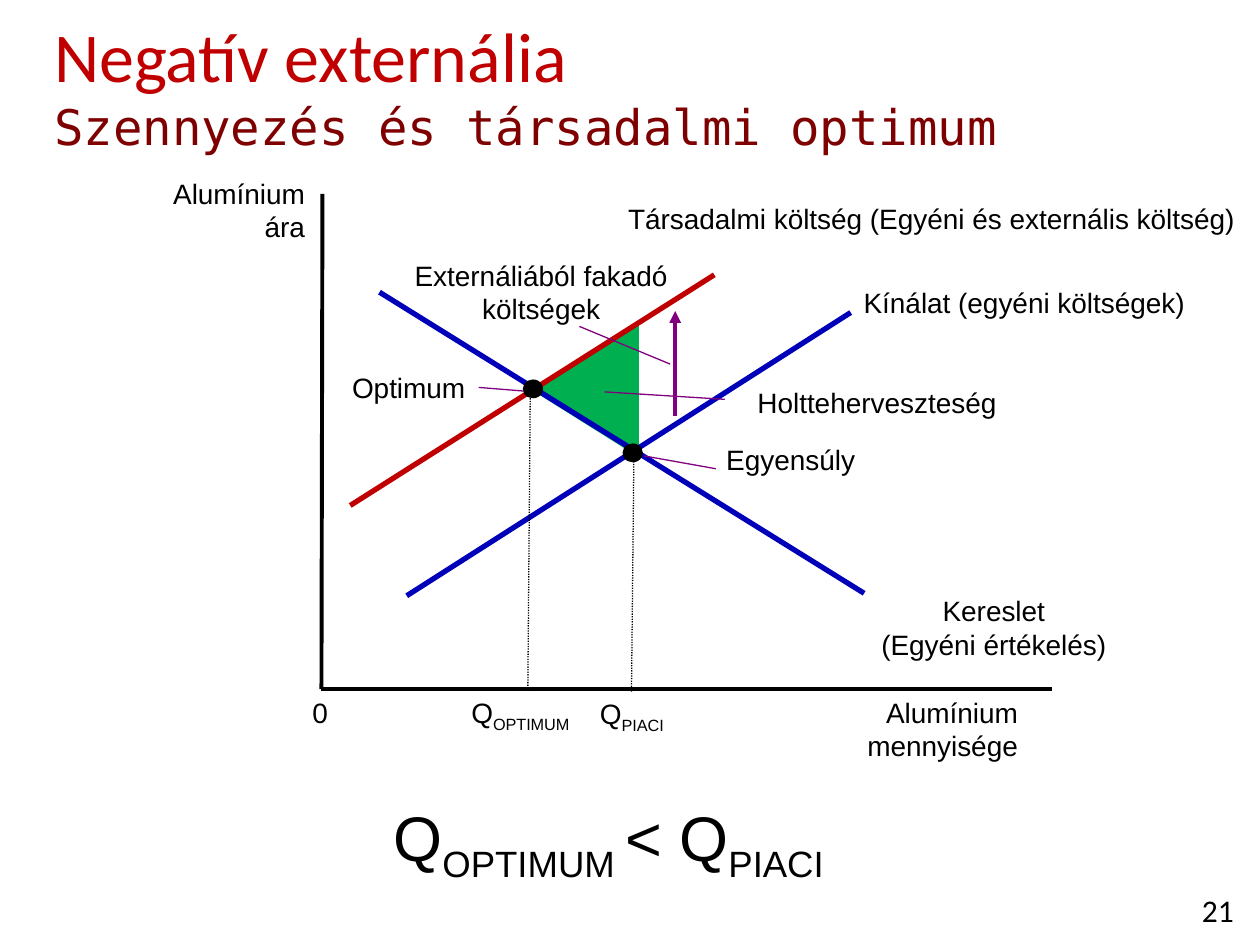
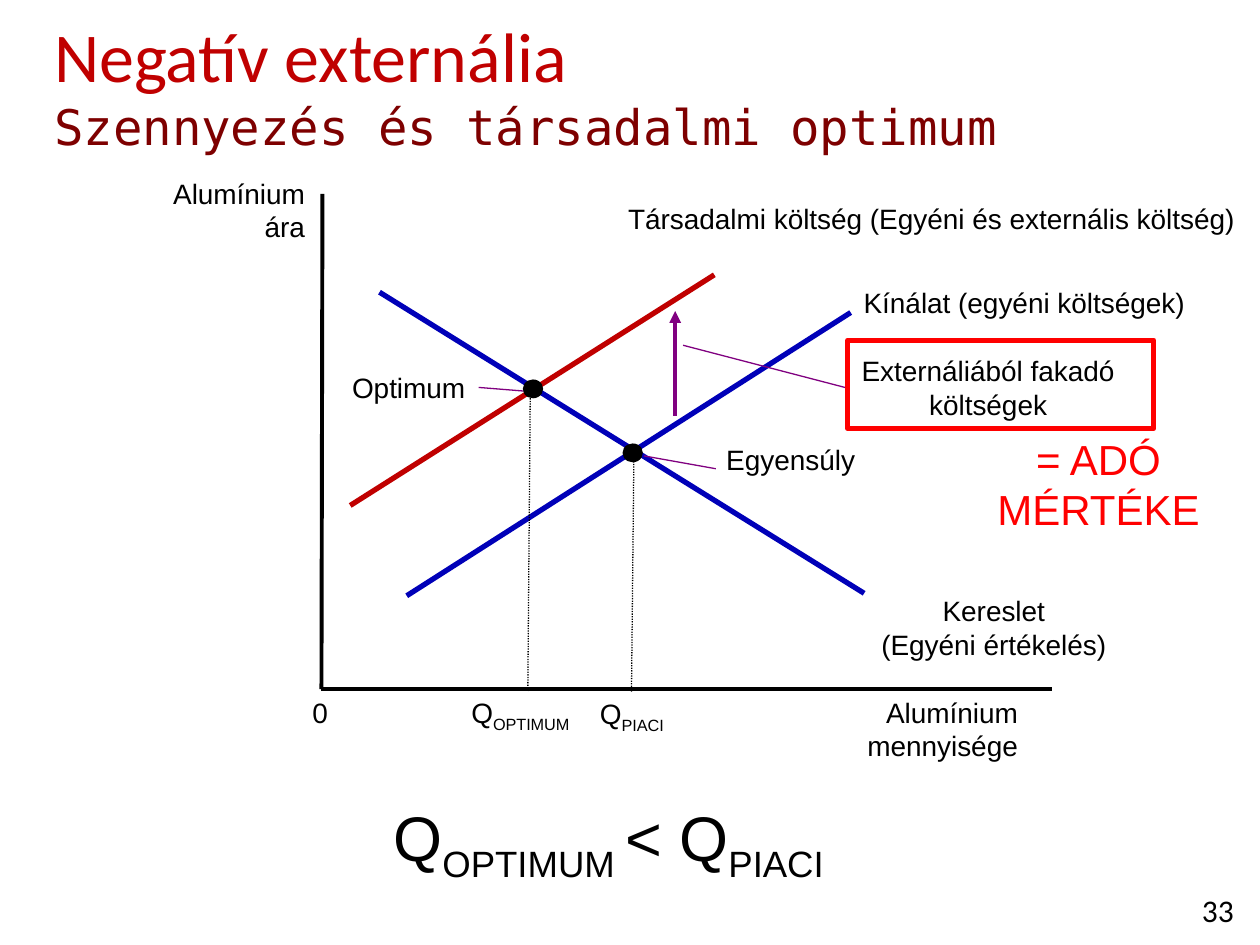
from dataclasses import dataclass
from typing import NamedTuple

from lxml import etree
from pptx import Presentation
from pptx.dml.color import RGBColor
from pptx.enum.dml import MSO_LINE
from pptx.enum.shapes import MSO_CONNECTOR, MSO_SHAPE
from pptx.enum.text import MSO_ANCHOR, MSO_AUTO_SIZE, PP_ALIGN
from pptx.oxml.ns import qn
from pptx.util import Cm, Pt

BLACK = RGBColor(0x00, 0x00, 0x00)
TITLE_RED = RGBColor(0xC0, 0x00, 0x00)
SUBTITLE_RED = RGBColor(0x7E, 0x00, 0x00)
BLUE = RGBColor(0x00, 0x00, 0xB8)
PURPLE = RGBColor(0x80, 0x00, 0x80)
GREEN = RGBColor(0x00, 0xB0, 0x50)
TAX_RED = RGBColor(0xFF, 0x00, 0x00)

LEFT, CENTER, RIGHT = PP_ALIGN.LEFT, PP_ALIGN.CENTER, PP_ALIGN.RIGHT
TOP = MSO_ANCHOR.TOP
NO_FIT, GROW = MSO_AUTO_SIZE.NONE, MSO_AUTO_SIZE.SHAPE_TO_FIT_TEXT
STRAIGHT = MSO_CONNECTOR.STRAIGHT
DOTTED = MSO_LINE.ROUND_DOT
OVAL, TRIANGLE, RECTANGLE = MSO_SHAPE.OVAL, MSO_SHAPE.ISOSCELES_TRIANGLE, MSO_SHAPE.RECTANGLE

TITLE_ONLY = 5
LEFT_SIDE, RIGHT_SIDE = 1, 3
ONE_LINE, TWO_LINES = 0.94, 1.63
DOT_WIDTH, DOT_HEIGHT = 0.41, 0.38


class Run(NamedTuple):
    text: str
    sub: bool = False


class Box(NamedTuple):
    """Left, top, width and height in centimetres."""
    left: float
    top: float
    width: float
    height: float = ONE_LINE

    def lengths(self) -> list:
        return [Cm(v) for v in self]


@dataclass(frozen=True)
class Label:
    box: Box
    paragraphs: tuple
    align: PP_ALIGN = CENTER
    wrap: bool = False
    size: float = 16
    color: RGBColor = BLACK
    font: str = "Arial"


@dataclass(frozen=True)
class Line:
    start: tuple
    end: tuple
    color: RGBColor = PURPLE
    width: float = 0.75
    dash: MSO_LINE | None = None
    arrow: bool = False
    start_label: Label | None = None
    end_label: Label | None = None


def plain(*lines: str) -> tuple:
    """One paragraph of a single run for each line."""
    return tuple((Run(line),) for line in lines)


Q_OPTIMUM = (Run("Q"), Run("OPTIMUM", True))
Q_MARKET = (Run("Q"), Run("PIACI", True))
FORMULA = (Run("Q"), Run("OPTIMUM ", True), Run("< Q"), Run("PIACI", True))
EXTERNAL_COST = plain("Externáliából fakadó", "költségek")

ORIGIN = (6.48, 13.89)
OPTIMUM = Label(Box(6.83, 7.34, 2.82), plain("Optimum"))

MARKET_LABELS = [
    Label(Box(3.12, 3.43, 3.28, TWO_LINES), plain("Alumínium ára"), RIGHT, True),
    Label(Box(17.09, 13.89, 3.68, TWO_LINES), plain("Alumínium mennyisége"), RIGHT, True),
    Label(Box(6.05, 13.89, 0.84), plain("0"), LEFT),
    Label(Box(17.48, 11.84, 5.11, TWO_LINES), plain("Kereslet", "(Egyéni értékelés)")),
    Label(Box(17.12, 5.64, 7.06), plain("Kínálat (egyéni költségek)")),
    Label(Box(12.19, 3.94, 13.18),
          plain("Társadalmi költség (Egyéni és externális költség)")),
    Label(Box(9.12, 13.89, 2.74), (Q_OPTIMUM,)),
    Label(Box(11.76, 13.92, 1.96), (Q_MARKET,)),
    OPTIMUM,
    Label(Box(14.38, 8.79, 3.12), plain("Egyensúly")),
    Label(Box(0.99, 15.98, 22.56, 1.8), (FORMULA,), wrap=True, size=36),
]

MARKET_LINES = [
    Line((6.5, 3.91), ORIGIN, BLACK, 2.25),
    Line(ORIGIN, (21.21, 13.89), BLACK, 2.25),
    Line((7.65, 5.89), (17.42, 11.96), BLUE, 3),
    Line((8.2, 12.01), (17.15, 6.3), BLUE, 3),
    Line((7.06, 10.19), (14.4, 5.54), TITLE_RED, 3),
    Line((10.69, 7.82), (10.64, 13.94), BLACK, dash=DOTTED),
    Line((12.78, 9.04), (12.73, 13.94), BLACK, dash=DOTTED),
    Line((13.61, 8.38), (13.61, 6.27), width=2.25, arrow=True),
    Line((9.6, 7.82), (10.77, 7.9), start_label=OPTIMUM),
    Line((12.98, 9.19), (14.43, 9.45)),
]

DOTS = [Box(left, top, DOT_WIDTH, DOT_HEIGHT) for left, top in ((10.54, 7.65), (12.55, 8.94))]

LOSS_TRIANGLE = Box(10.52, 6.83, 2.59, 2.06)
LOSS_LABELS = [
    Label(Box(8.08, 5.08, 5.66, TWO_LINES), EXTERNAL_COST),
    Label(Box(14.58, 7.65, 6.2), plain("Holtteherveszteség"), wrap=True),
]
LOSS_LINES = [
    Line((11.68, 6.58), (13.51, 7.34)),
    Line((12.19, 7.9), (14.61, 8.05)),
]

TAX_FRAME = Box(17.09, 6.86, 6.17, 1.78)
TAXED_COST = Label(Box(17.09, 7.01, 5.66, TWO_LINES), EXTERNAL_COST)
TAX_LABELS = [
    TAXED_COST,
    Label(Box(18.92, 8.61, 6.45, 2.31), plain("= ADÓ MÉRTÉKE"),
          wrap=True, size=24, color=TAX_RED),
]
TAX_LINES = [Line((13.77, 6.96), (17.09, 7.82), end_label=TAXED_COST)]


def add_run(p, text: str, font: str, size: float, color: RGBColor):
    r = p.add_run()
    r.text = text
    r.font.name = font
    r.font.size = Pt(size)
    r.font.color.rgb = color
    return r


def add_title(slide, height: float) -> None:
    sp = slide.shapes.title
    sp.left, sp.top, sp.width, sp.height = Box(0.84, 0.13, 24.56, height).lengths()
    tf = sp.text_frame
    tf.auto_size = NO_FIT
    tf.vertical_anchor = TOP
    p = tf.paragraphs[0]
    p.alignment = LEFT
    add_run(p, "Negatív externália", "Calibri", 40, TITLE_RED)
    p.add_line_break()
    add_run(p, "Szennyezés és társadalmi optimum", "DejaVu Sans Mono", 28, SUBTITLE_RED)


def add_label(slide, label: Label):
    sp = slide.shapes.add_textbox(*label.box.lengths())
    tf = sp.text_frame
    tf.word_wrap = label.wrap
    tf.auto_size = GROW
    for i, runs in enumerate(label.paragraphs):
        p = tf.add_paragraph() if i else tf.paragraphs[0]
        p.alignment = label.align
        for run in runs:
            r = add_run(p, run.text, label.font, label.size, label.color)
            if run.sub:
                r.font._element.set("baseline", "-25000")
    return sp


def add_line(slide, line: Line, boxes: dict) -> None:
    """Draw the line, joined to its labels' text boxes where it has them."""
    cxn = slide.shapes.add_connector(STRAIGHT, *[Cm(v) for v in line.start + line.end])
    if line.start_label:
        cxn.begin_connect(boxes[line.start_label], RIGHT_SIDE)
    if line.end_label:
        cxn.end_connect(boxes[line.end_label], LEFT_SIDE)
    cxn.line.color.rgb = line.color
    cxn.line.width = Pt(line.width)
    if line.dash:
        cxn.line.dash_style = line.dash
    if line.arrow:
        etree.SubElement(cxn.line._get_or_add_ln(), qn("a:tailEnd"), type="triangle")
    etree.SubElement(cxn._element.spPr, qn("a:effectLst"))


def add_preset(slide, kind: MSO_SHAPE, box: Box, fill: RGBColor | None = None,
               outline: RGBColor | None = None, width: float = 2):
    sp = slide.shapes.add_shape(kind, *box.lengths())
    sp.shadow.inherit = False
    if fill is None:
        sp.fill.background()
    else:
        sp.fill.solid()
        sp.fill.fore_color.rgb = fill
    if outline is None:
        sp.line.fill.background()
    else:
        sp.line.color.rgb = outline
        sp.line.width = Pt(width)
    return sp


def add_base(prs, number: str, title_height: float):
    """Add a slide with its title and number."""
    slide = prs.slides.add_slide(prs.slide_layouts[TITLE_ONLY])
    add_title(slide, title_height)
    add_label(slide, Label(Box(23.7, 17.83, 1.7, 1.02), plain(number),
                           wrap=True, size=18, font="Calibri"))
    return slide


def add_market(slide, extra_labels: list, extra_lines: list) -> None:
    """Draw the market diagram together with the slide's own labels and lines."""
    boxes = {label: add_label(slide, label) for label in MARKET_LABELS + extra_labels}
    for line in MARKET_LINES + extra_lines:
        add_line(slide, line, boxes)
    for dot in DOTS:
        add_preset(slide, OVAL, dot, fill=BLACK)


def main() -> None:
    prs = Presentation()
    prs.slide_width, prs.slide_height = Cm(25.4), Cm(19.05)

    slide = add_base(prs, "21", 2.21)
    add_preset(slide, TRIANGLE, LOSS_TRIANGLE, GREEN, GREEN).rotation = 270
    add_market(slide, LOSS_LABELS, LOSS_LINES)

    slide = add_base(prs, "33", 1.47)
    add_market(slide, TAX_LABELS, TAX_LINES)
    add_preset(slide, RECTANGLE, TAX_FRAME, outline=TAX_RED, width=3)

    prs.save("out.pptx")


if __name__ == "__main__":
    main()
